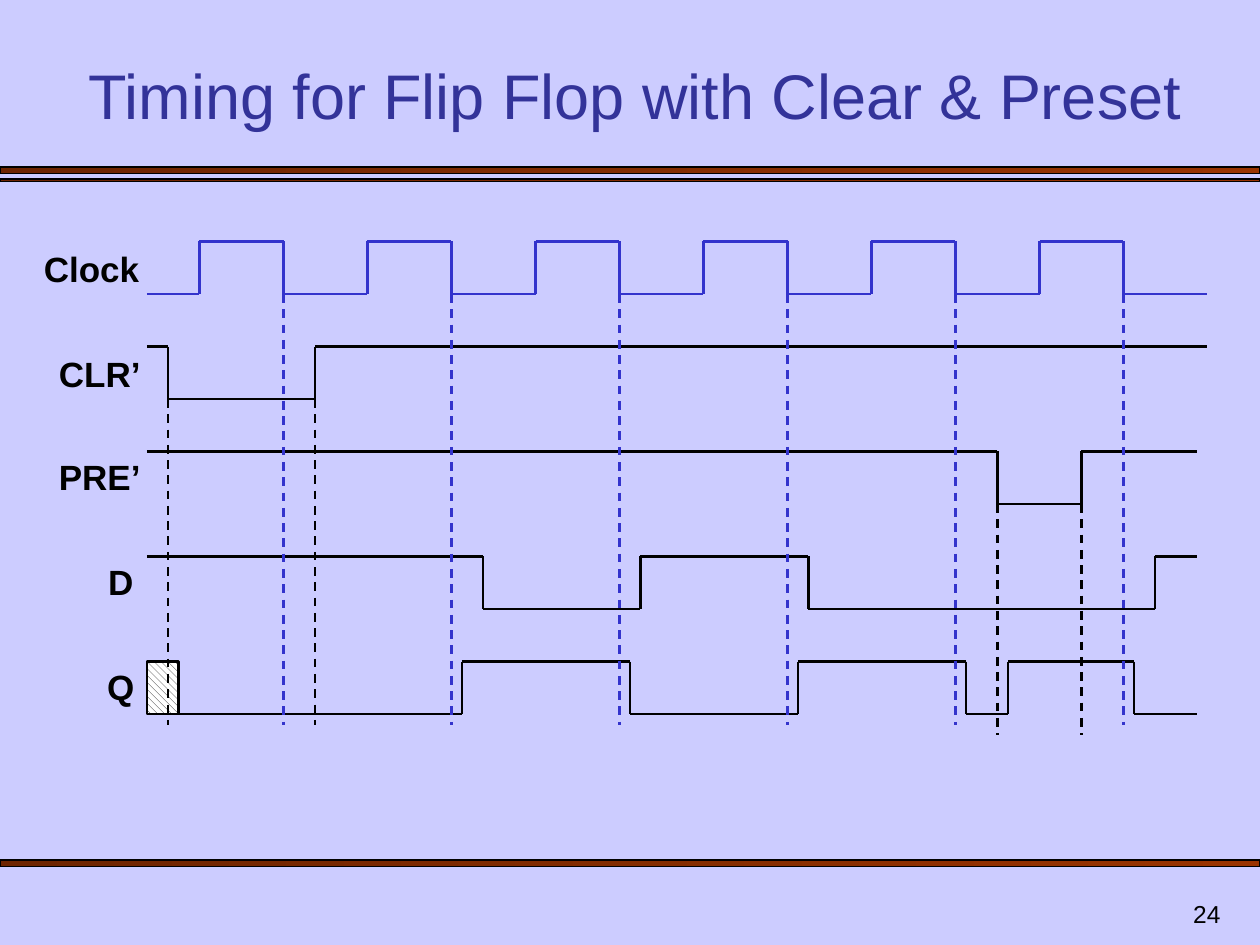
"""Build a timing diagram slide for a flip flop with clear and preset."""
import pptx
import pptx.util
import pptx.dml.color
import pptx.enum.dml
import pptx.enum.shapes
import pptx.enum.text
import pptx.oxml.ns
import lxml.etree

Pt = pptx.util.Pt
Align = pptx.enum.text.PP_ALIGN
Anchor = pptx.enum.text.MSO_ANCHOR
INK, BLUE = "000000", "3333CC"
LEFT, HIGH = 84, 30


def paint(code):
    return pptx.dml.color.RGBColor.from_string(code)


class Board:
    def __init__(self, deck):
        self.face = "Arial"
        self.width = 1.25
        self.slide = deck.slides.add_slide(deck.slide_layouts[5])
        self.shapes = self.slide.shapes
        fill = self.slide.background.fill
        fill.solid()
        fill.fore_color.rgb = paint("CCCCFF")

    def label(self, shape, text, size, color, align, anchor, bold=False):
        frame = shape.text_frame
        frame.text = text
        frame.word_wrap = True
        frame.auto_size = pptx.enum.text.MSO_AUTO_SIZE.NONE
        frame.vertical_anchor = anchor
        para = frame.paragraphs[0]
        para.alignment = align
        para.font.name = self.face
        para.font.size = Pt(size)
        para.font.bold = bold
        para.font.color.rgb = paint(color)

    def title(self, text, *box):
        shape = self.shapes.title
        shape.left, shape.top, shape.width, shape.height = map(Pt, box)
        self.label(shape, text, 36, "333399", Align.CENTER, Anchor.BOTTOM)

    def text(self, text, box, size, align, anchor=Anchor.TOP, bold=False):
        shape = self.shapes.add_textbox(*map(Pt, box))
        self.label(shape, text, size, INK, align, anchor, bold)

    def rect(self, box, width):
        kind = pptx.enum.shapes.MSO_SHAPE.RECTANGLE
        shape = self.shapes.add_shape(kind, *map(Pt, box))
        shape.shadow.inherit = False
        shape.line.color.rgb = paint(INK)
        shape.line.width = Pt(width)
        return shape

    def bar(self, top, high):
        fill = self.rect((0, top, 720, high), 0.75).fill
        fill.gradient()
        fill.gradient_angle = 0
        for stop, code in zip(fill.gradient_stops, ("6D2400", "993300")):
            stop.color.rgb = paint(code)

    def hatch(self, *box):
        fill = self.rect(box, self.width).fill
        fill.patterned()
        fill.pattern = pptx.enum.dml.MSO_PATTERN.WIDE_DOWNWARD_DIAGONAL
        fill.fore_color.rgb = paint("1C1C1C")
        fill.back_color.rgb = paint("FFFFFF")

    def line(self, start, end, color, dash=False):
        kind = pptx.enum.shapes.MSO_CONNECTOR.STRAIGHT
        wire = self.shapes.add_connector(kind, *map(Pt, (*start, *end)))
        wire.line.color.rgb = paint(color)
        wire.line.width = Pt(self.width)
        if dash:
            wire.line.dash_style = pptx.enum.dml.MSO_LINE.DASH
        name = pptx.oxml.ns.qn("a:effectLst")
        lxml.etree.SubElement(wire._element.spPr, name)

    def wave(self, top, level, edges, end, color):
        x, y = LEFT, top + HIGH * (1 - level)
        for edge in edges:
            self.line((x, y), (edge, y), color)
            flip = 2 * top + HIGH - y
            self.line((edge, y), (edge, flip), color)
            x, y = edge, flip
        self.line((x, y), (end, y), color)

    def guide(self, x, top, end, color):
        self.line((x, top), (x, end), color, True)


def main():
    deck = pptx.Presentation()
    deck.slide_width, deck.slide_height = Pt(720), Pt(540)
    board = Board(deck)
    for top, high in ((95.5, 3.6), (102.25, 1.5), (491.5, 3.6)):
        board.bar(top, high)
    board.title("Timing for Flip Flop with Clear & Preset", 42, 30, 642, 49)
    board.text("24", (554.5, 504, 150, 30), 14, Align.RIGHT, Anchor.BOTTOM)

    board.hatch(LEFT, 378, 18, HIGH)
    falls = range(162, 643, 96)
    clock = [x for fall in falls for x in (fall - 48, fall)]
    signals = (
        ("Clock", 18, 72, 0, [114, *clock[1:]], 690, BLUE),
        ("CLR’", 24, 66, 1, [96, 180], 690, INK),
        ("PRE’", 24, 66, 1, [570, 618], 684, INK),
        ("D", 48, 42, 1, [276, 366, 462, 660], 684, INK),
        ("Q", 48, 42, 0, [264, 360, 456, 552, 576, 648], 684, INK),
    )
    for row, (name, left, width, level, edges, end, color) in enumerate(signals):
        top = 138 + 60 * row
        align = Align.CENTER if row else Align.LEFT
        drop = 1 if row > 1 else 0
        board.text(name, (left, top - drop, width, 31), 20, align, bold=True)
        board.wave(top, level, edges, end, color)

    for x in falls:
        board.guide(x, 168, 414, BLUE)
    for x in (96, 180):
        board.guide(x, 228, 414, INK)
    for x in (570, 618):
        board.guide(x, 288, 420, INK)
    deck.save("out.pptx")


if __name__ == "__main__":
    main()
